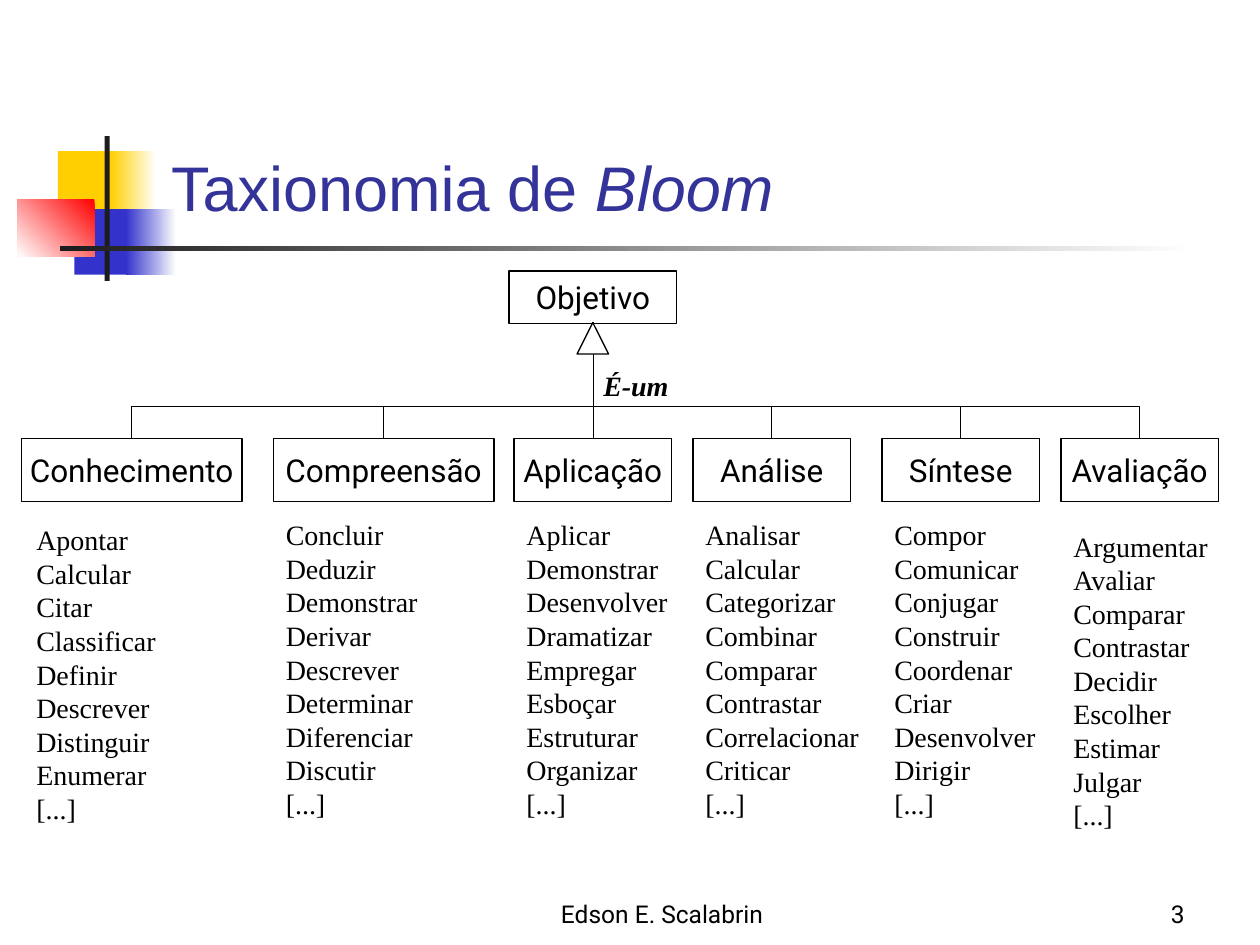
"""Build the slide on Bloom's taxonomy: one objective, six kinds and their verbs."""
from lxml.etree import SubElement
from pptx import Presentation
from pptx.dml.color import RGBColor as RGB
from pptx.enum.shapes import MSO_CONNECTOR as LINK, MSO_SHAPE as SHAPE
from pptx.enum.text import MSO_ANCHOR as ANCHOR, MSO_AUTO_SIZE as FIT, PP_ALIGN as ALIGN
from pptx.oxml.ns import qn
from pptx.util import Inches, Pt

THEME = {
    "white": RGB.from_string("FFFFFF"),
    "ink": RGB.from_string("000000"),
    "dark": RGB.from_string("1C1C1C"),
    "yellow": RGB.from_string("FFCF01"),
    "blue": RGB.from_string("3333CC"),
    "red": RGB.from_string("FF0000"),
    "title": {"name": "Arial", "size": Pt(36)},
    "box": {"name": "Roboto", "size": Pt(18)},
    "verbs": {"name": "Times New Roman", "size": Pt(16)},
    "relation": {"name": "Times New Roman", "size": Pt(16), "bold": True, "italic": True},
    "footer": {"name": "Roboto", "size": Pt(14)},
    "title_color": RGB.from_string("333399"),
    "outline": Pt(0.75),
}

deck = Presentation()
deck.slide_width, deck.slide_height = Inches(10), Inches(7.5)
slide = deck.slides.add_slide(deck.slide_layouts[6])


def write(holder, lines, style, color=THEME["ink"], align=ALIGN.LEFT, **frame_format):
    frame = holder.text_frame
    for key, value in frame_format.items():
        setattr(frame, key, value)
    for number, line in enumerate(lines):
        paragraph = frame.paragraphs[0] if number == 0 else frame.add_paragraph()
        paragraph.alignment = align
        run = paragraph.add_run()
        run.text = line
        run.font.color.rgb = color
        for key, value in THEME[style].items():
            setattr(run.font, key, value)
    return frame


def draw(kind, place, colors, angle=180, outlined=False):
    shape = slide.shapes.add_shape(kind, *map(Inches, place))
    shape.shadow.inherit = False
    if len(colors) == 1:
        shape.fill.solid()
        shape.fill.fore_color.rgb = THEME[colors[0]]
    else:
        shape.fill.gradient()
        shape.fill.gradient_angle = angle
        for stop, color in zip(shape.fill.gradient_stops, colors):
            stop.color.rgb = THEME[color]
    if outlined:
        shape.line.color.rgb = THEME["ink"]
        shape.line.width = THEME["outline"]
    else:
        shape.line.fill.background()
    return shape


for place, colors, angle in [
    ((0.46, 1.2, 0.48, 0.52), ["yellow"], 0),
    ((0.88, 1.2, 0.36, 0.52), ["white", "yellow"], 180),
    ((0.59, 1.66, 0.46, 0.52), ["blue"], 0),
    ((1, 1.66, 0.4, 0.52), ["white", "blue"], 180),
    ((0.14, 1.58, 0.61, 0.46), ["red", "white"], 225),
    ((0.83, 1.08, 0.04, 1.15), ["dark"], 0),
    ((0.48, 1.95, 9, 0.04), ["white", "dark"], 180),
]:
    draw(SHAPE.RECTANGLE, place, colors, angle)

heading = slide.shapes.add_textbox(*map(Inches, (1.26, 0.58, 8.52, 1.25)))
heading_text = write(heading, ["Taxionomia de "], "title", THEME["title_color"],
                     word_wrap=True, vertical_anchor=ANCHOR.BOTTOM)
author = heading_text.paragraphs[0].add_run()
author.text = "Bloom"
author.font.color.rgb = THEME["title_color"]
for key, value in {**THEME["title"], "italic": True}.items():
    setattr(author.font, key, value)

box_format = {"align": ALIGN.CENTER, "word_wrap": False, "vertical_anchor": ANCHOR.MIDDLE}
objective = draw(SHAPE.RECTANGLE, (4.04, 2.15, 1.33, 0.42), ["white"], outlined=True)
write(objective, ["Objetivo"], "box", **box_format)
relation = slide.shapes.add_textbox(*map(Inches, (4.69, 2.88, 0.8, 0.37)))
write(relation, ["É-um"], "relation", word_wrap=True)

root_x, root_y, box_y, box_height, verbs_height = 4.71, 2.56, 3.48, 0.5, 2.5
drop = box_y - root_y
kinds = [
    ("Compreensão", 2.17, 1.75, (2.17, 4.06, 1.33),
     ["Concluir", "Deduzir", "Demonstrar", "Derivar", "Descrever",
      "Determinar", "Diferenciar", "Discutir"]),
    ("Aplicação", 4.08, 1.25, (4.08, 4.06, 1.33),
     ["Aplicar", "Demonstrar", "Desenvolver", "Dramatizar", "Empregar",
      "Esboçar", "Estruturar", "Organizar"]),
    ("Análise", 5.5, 1.25, (5.5, 4.06, 1.5),
     ["Analisar", "Calcular", "Categorizar", "Combinar", "Comparar",
      "Contrastar", "Correlacionar", "Criticar"]),
    ("Síntese", 7, 1.25, (7, 4.06, 1.33),
     ["Compor", "Comunicar", "Conjugar", "Construir", "Coordenar",
      "Criar", "Desenvolver", "Dirigir"]),
    ("Avaliação", 8.42, 1.25, (8.42, 4.15, 1.33),
     ["Argumentar", "Avaliar Comparar", "Contrastar", "Decidir",
      "Escolher", "Estimar", "Julgar"]),
    ("Conhecimento", 0.17, 1.75, (0.19, 4.1, 1.25),
     ["Apontar", "Calcular", "Citar", "Classificar", "Definir",
      "Descrever", "Distinguir", "Enumerar"]),
]
for kind, left, width, verbs_place, verbs in kinds:
    kind_box = draw(SHAPE.RECTANGLE, (left, box_y, width, box_height), ["white"], outlined=True)
    write(kind_box, [kind], "box", **box_format)

    kind_x = left + width / 2
    span = abs(kind_x - root_x)
    if span < 0.05:
        branch = slide.shapes.add_connector(
            LINK.STRAIGHT, *map(Inches, (root_x, box_y, root_x, root_y)))
    else:
        side = 1 if kind_x < root_x else -1
        middle_x, middle_y = (kind_x + root_x) / 2, (box_y + root_y) / 2
        branch = slide.shapes.add_connector(LINK.ELBOW, *map(Inches, (
            middle_x + side * drop / 2, middle_y + span / 2,
            middle_x - side * drop / 2, middle_y - span / 2)))
        properties = branch._element.spPr
        properties.find(qn("a:xfrm")).set("rot", str(side * 90 % 360 * 60000))
        bends = properties.find(qn("a:prstGeom")).find(qn("a:avLst"))
        SubElement(bends, qn("a:gd"), name="adj1", fmla="val 27800")
    branch.line.color.rgb = THEME["ink"]
    branch.line.width = THEME["outline"]
    SubElement(branch._element.spPr, qn("a:effectLst"))

    verb_list = slide.shapes.add_textbox(*map(Inches, (*verbs_place, verbs_height)))
    write(verb_list, verbs + ["[...]"], "verbs", word_wrap=True, auto_size=FIT.SHAPE_TO_FIT_TEXT)

draw(SHAPE.ISOSCELES_TRIANGLE, (4.58, root_y, 0.25, 0.25), ["white"], outlined=True)

for words, left, width, align in [
    ("Edson E. Scalabrin", 3.67, 3.17, ALIGN.CENTER),
    ("3", 7.42, 2.08, ALIGN.RIGHT),
]:
    footer = slide.shapes.add_textbox(*map(Inches, (left, 6.92, width, 0.5)))
    write(footer, [words], "footer", align=align, word_wrap=True, vertical_anchor=ANCHOR.BOTTOM)

deck.save("out.pptx")
